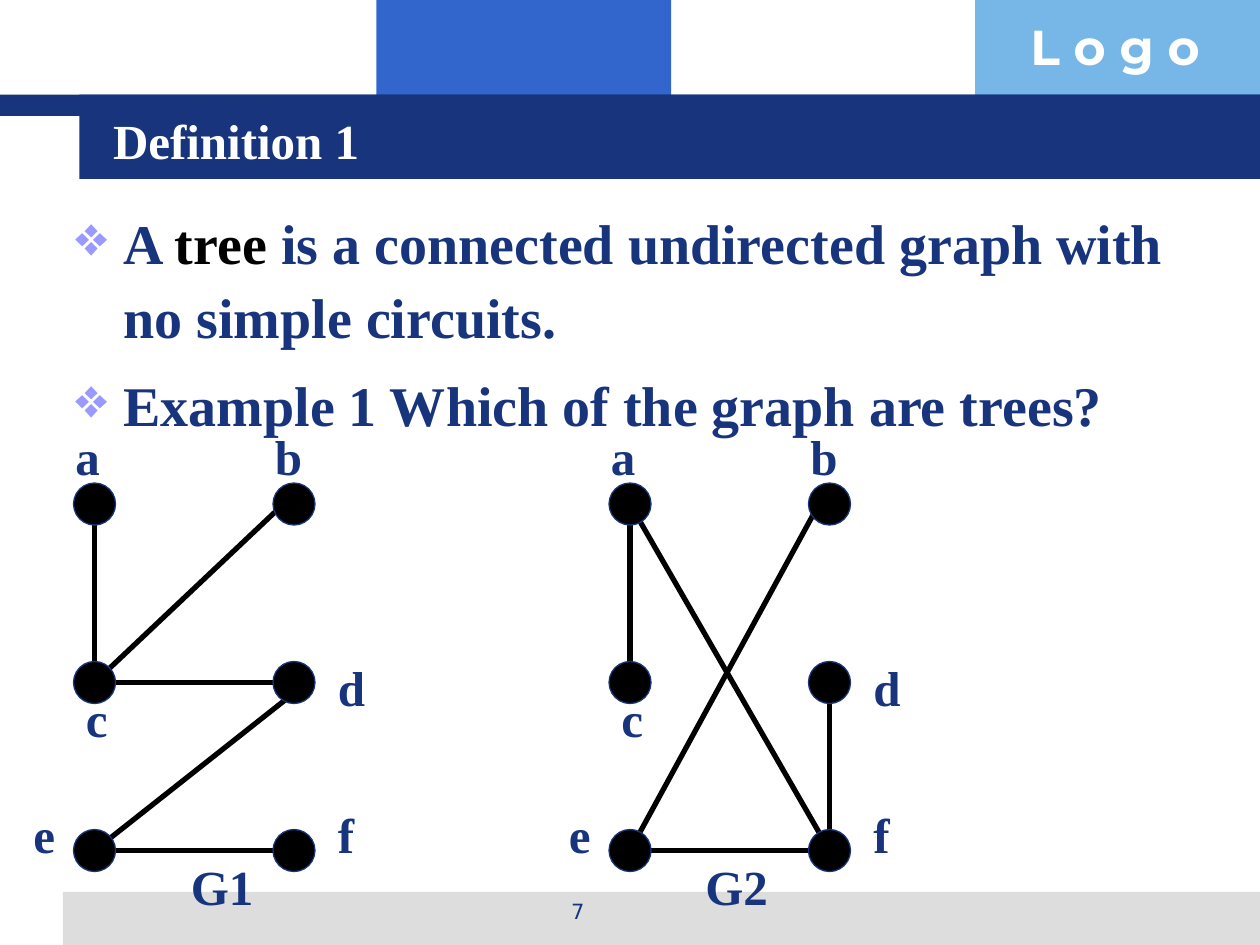
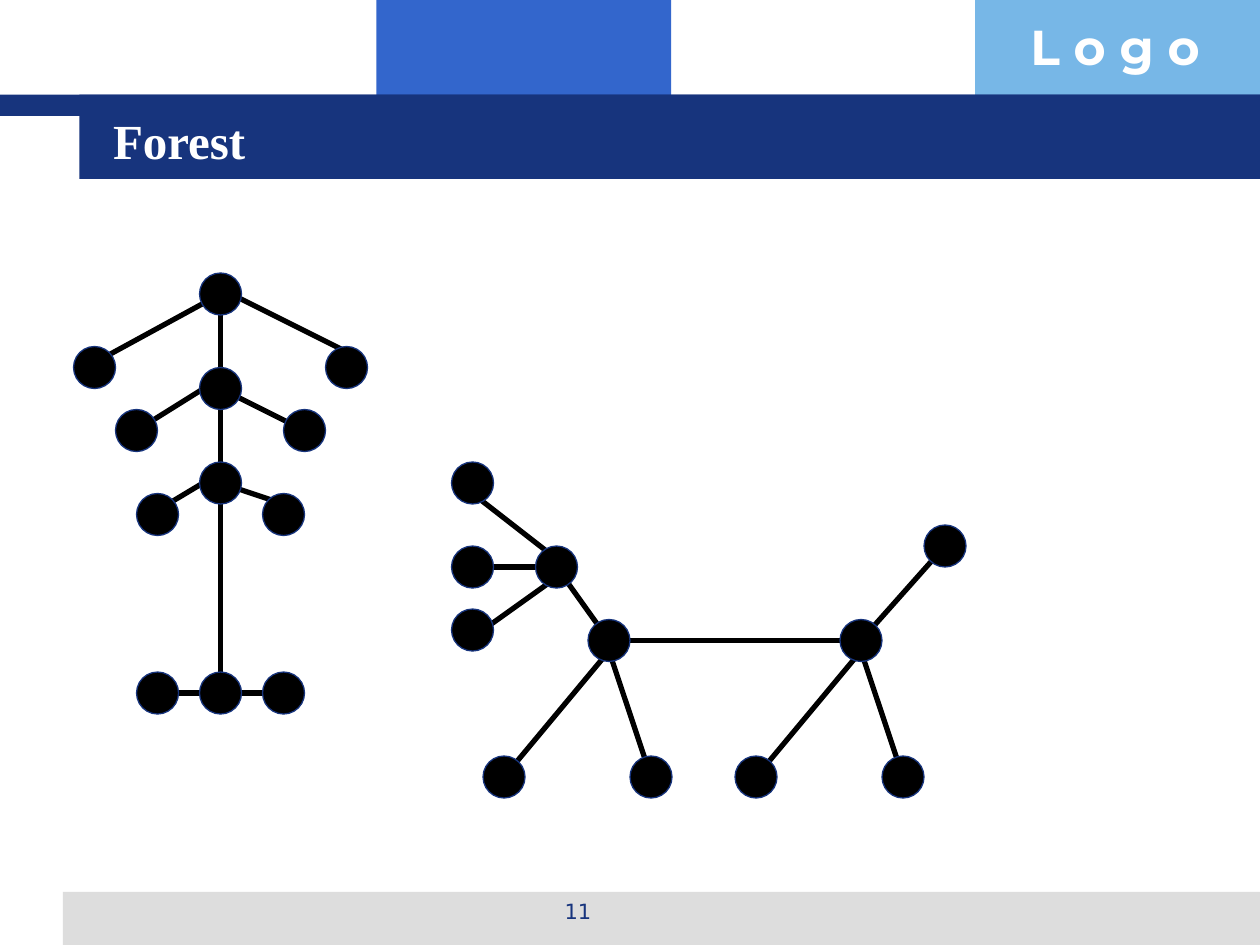
from lxml.etree import SubElement
from pptx import Presentation
from pptx.dml.color import RGBColor
from pptx.enum.shapes import MSO_CONNECTOR, MSO_SHAPE
from pptx.enum.text import MSO_ANCHOR as Anchor, PP_ALIGN as Align
from pptx.oxml.ns import qn
from pptx.util import Cm, Pt

NAVY = RGBColor(0x17, 0x34, 0x7D)
BLUE = RGBColor(0x33, 0x66, 0xCC)
SKY = RGBColor(0x77, 0xB7, 0xE7)
GREY = RGBColor(0xDD, 0xDD, 0xDD)
WHITE = RGBColor(0xFF, 0xFF, 0xFF)
BLACK = RGBColor(0, 0, 0)
BULLET_COLOUR = "9999FF"
SERIF = "Times New Roman"

# Shared bands: left, top, width, height in cm, colour
BANDS = [
    (7.59, 0, 5.94, 2.34, BLUE),
    (19.66, 0, 5.74, 2.34, SKY),
    (1.27, 17.98, 24.13, 1.07, GREY),
    (0, 1.91, 25.4, 0.43, NAVY),
    (1.6, 1.91, 23.8, 1.7, NAVY),
]

# Definition slide: each bullet is a list of (text, colour) runs
BULLETS = [
    [("A ", NAVY), ("tree", BLACK),
     (" is a connected undirected graph with no simple circuits.", NAVY)],
    [("Example 1 Which of the graph are trees?", NAVY)],
]

# Graphs are laid out on a grid of twelve steps to 2.54 cm
GRID = Cm(2.54) / 12
NODE_SIZE = 4
GRAPH_NODES = [(x, y) for y in (48, 65, 81) for x in (9, 28)]
NODE_LABELS = [("a", 6, 40), ("b", 25, 40), ("c", 7, 65),
               ("d", 31, 62), ("e", 2, 76), ("f", 31, 76)]
# Name, shift to the right, left of the name, edges (x1, y1, x2, y2)
GRAPHS = [
    ("G1", 0, 17, [(9, 49, 9, 63), (27, 48, 9, 65), (28, 65, 10, 65),
                   (27, 81, 9, 81), (28, 66, 9, 81)]),
    ("G2", 51, 15, [(9, 49, 9, 63), (27, 48, 9, 81), (28, 81, 9, 48),
                    (27, 81, 9, 81), (28, 66, 28, 80)]),
]

# Forest slide: nodes and edges of its two trees
UPRIGHT_TREE = (
    [(21, 28), (21, 37), (21, 46), (21, 66), (9, 35), (33, 35),
     (13, 41), (29, 41), (15, 49), (27, 49), (15, 66), (27, 66)],
    [(21, 30, 21, 38), (21, 37, 21, 45), (21, 46, 21, 66),
     (21, 28, 10, 34), (22, 28, 34, 34), (21, 36, 13, 41),
     (21, 37, 29, 41), (21, 45, 16, 48), (21, 46, 27, 48),
     (21, 66, 15, 66), (21, 66, 27, 66)],
)
SPREADING_TREE = (
    [(45, 46), (45, 54), (45, 60), (53, 54), (58, 61), (48, 74),
     (62, 74), (82, 61), (72, 74), (86, 74), (90, 52)],
    [(54, 54, 45, 47), (53, 54, 46, 54), (53, 55, 46, 60),
     (58, 61, 53, 54), (58, 62, 48, 74), (58, 62, 62, 74),
     (81, 61, 59, 61), (82, 62, 72, 74), (82, 62, 86, 74),
     (82, 61, 90, 52)],
)


def on_grid(*steps):
    return [round(step * GRID) for step in steps]


def style(run, size, colour, font=SERIF, bold=True):
    run.font.name = font
    run.font.size = Pt(size)
    run.font.bold = bold
    run.font.color.rgb = colour


def add_box(slide, left, top, width, height):
    text_frame = slide.shapes.add_textbox(left, top, width, height).text_frame
    text_frame.word_wrap = True
    return text_frame


def add_text(slide, text, place, size, colour, font=SERIF, bold=True):
    text_frame = add_box(slide, *place)
    text_frame.text = text
    style(text_frame.paragraphs[0].runs[0], size, colour, font, bold)
    return text_frame


def add_filled(slide, preset, place, colour):
    shape = slide.shapes.add_shape(preset, *place)
    shape.shadow.inherit = False
    shape.fill.solid()
    shape.fill.fore_color.rgb = colour
    shape.line.fill.background()
    return shape


def add_framed_slide(presentation, title, number):
    """Blank slide with the shared bands, title and slide number."""
    slide = presentation.slides.add_slide(presentation.slide_layouts[6])
    for *place, colour in BANDS:
        add_filled(slide, MSO_SHAPE.RECTANGLE, map(Cm, place), colour)
    add_text(slide, "L o g o", map(Cm, (20.52, 0.2, 4.9, 1.45)), 28, WHITE,
             "Montserrat")
    footer = add_text(slide, str(number), map(Cm, (8.69, 17.98, 5.92, 0.89)),
                      12, NAVY, "DejaVu Sans", False)
    footer.paragraphs[0].alignment = Align.CENTER
    heading = add_text(slide, title, map(Cm, (2.03, 2.03, 21.67, 1.57)), 28, WHITE)
    heading.vertical_anchor = Anchor.MIDDLE
    return slide


def add_bullets(slide):
    text_frame = add_box(slide, *map(Cm, (1.27, 3.94, 23.7, 13.56)))
    for index, runs in enumerate(BULLETS):
        paragraph = text_frame.add_paragraph() if index else text_frame.paragraphs[0]
        properties = paragraph._p.get_or_add_pPr()
        properties.set("marL", str(Cm(0.97)))
        properties.set("indent", str(-Cm(0.97)))
        colour_element = SubElement(properties, qn("a:buClr"))
        SubElement(colour_element, qn("a:srgbClr"), val=BULLET_COLOUR)
        SubElement(properties, qn("a:buChar"), char="❖")
        paragraph.line_spacing = 1.1
        if index:
            paragraph.space_before = Pt(8)
        for text, colour in runs:
            run = paragraph.add_run()
            run.text = text
            style(run, 32, colour)


def add_graph(slide, nodes, edges, shift=0):
    for x1, y1, x2, y2 in edges:
        edge = slide.shapes.add_connector(
            MSO_CONNECTOR.STRAIGHT, *on_grid(x1 + shift, y1, x2 + shift, y2))
        edge.line.color.rgb = BLACK
        edge.line.width = Pt(3)
        SubElement(edge._element.spPr, qn("a:effectLst"))
    for x, y in nodes:
        corner = (x + shift - NODE_SIZE / 2, y - NODE_SIZE / 2)
        node = add_filled(slide, MSO_SHAPE.OVAL,
                          on_grid(*corner, NODE_SIZE, NODE_SIZE), BLACK)
        node.line.color.rgb = NAVY
        node.line.width = Pt(0.75)


def main():
    presentation = Presentation()
    presentation.slide_width, presentation.slide_height = Cm(25.4), Cm(19.05)

    # Definition with two labelled graphs
    slide = add_framed_slide(presentation, "Definition 1", 7)
    add_bullets(slide)
    for name, shift, name_left, edges in GRAPHS:
        add_graph(slide, GRAPH_NODES, edges, shift)
        for label, x, y in NODE_LABELS:
            add_text(slide, label, on_grid(x + shift, y, 5, 6.8), 28, NAVY)
        add_text(slide, name, on_grid(name_left + shift, 81, 9, 6.8), 28, NAVY)

    # Forest of two trees
    slide = add_framed_slide(presentation, "Forest", 11)
    for nodes, edges in (UPRIGHT_TREE, SPREADING_TREE):
        add_graph(slide, nodes, edges)

    presentation.save("out.pptx")


if __name__ == "__main__":
    main()
